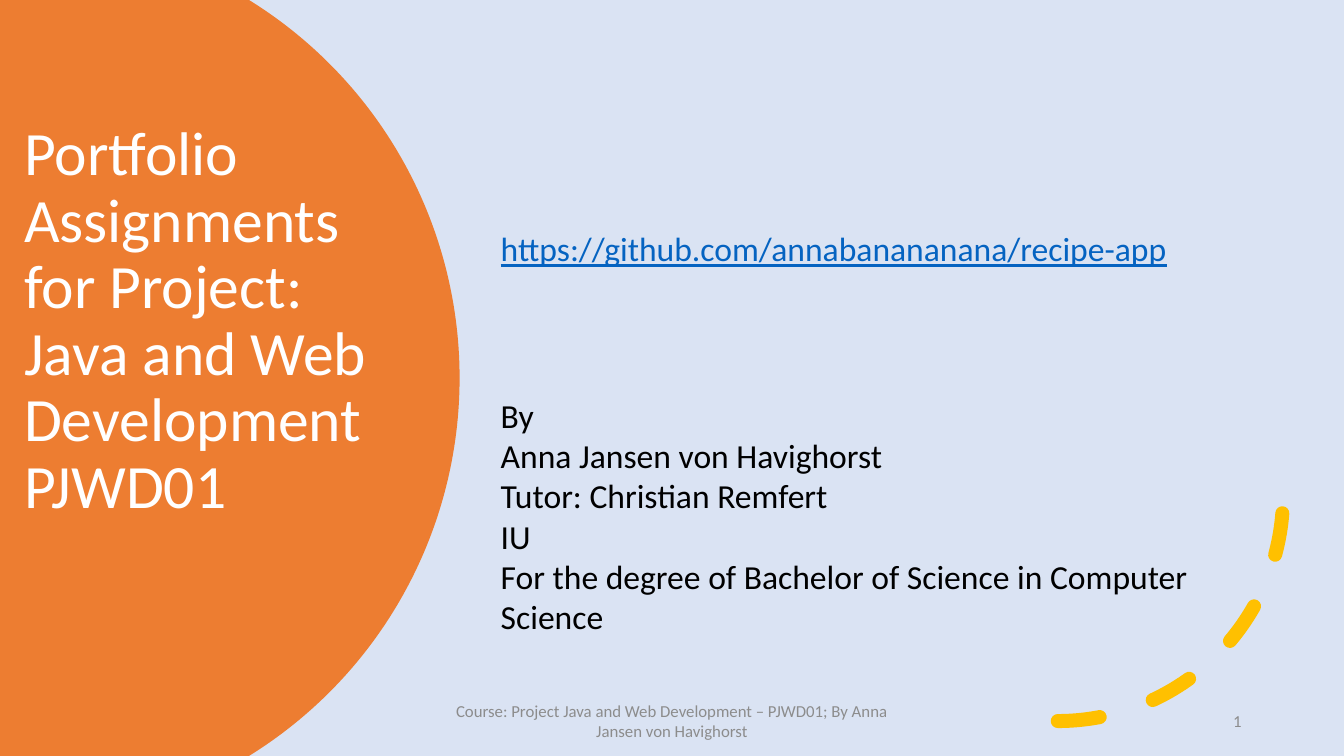
import math
import lxml.etree
import pptx
import pptx.util
import pptx.dml.color
import pptx.enum.dml
import pptx.enum.shapes
import pptx.enum.text
import pptx.oxml.ns

Pt = pptx.util.Pt
Anchor = pptx.enum.text.MSO_ANCHOR
Align = pptx.enum.text.PP_ALIGN
qn = pptx.oxml.ns.qn

COLORS = {
    "sky": "DAE3F3",
    "orange": "ED7D31",
    "gold": "FFC000",
    "white": "FFFFFF",
    "black": "000000",
    "gray": "8C8C8C",
    "link": "0563C1",
}
FONT = "Calibri"
WIDTH, HEIGHT = 960, 540

TITLE = "Portfolio Assignments for Project: Java and Web Development\vPJWD01"
ADDRESS = "https://github.com/annabanananana/recipe-app"
CREDITS = [
    "By",
    "Anna Jansen von Havighorst",
    "Tutor: Christian Remfert",
    "IU",
    "For the degree of Bachelor of Science in Computer Science",
]
FOOTER = "Course: Project Java and Web Development – PJWD01; By Anna Jansen von Havighorst"
NUMBER = "1"

DISC_CENTER, DISC_RADIUS = 10.8, 317.5
UNITS_PER_POINT = 100
ARC_BOX = (594.7, 193.3, 321.8, 321.8)


def rgb(name):
    return pptx.dml.color.RGBColor.from_string(COLORS[name])


def write(box, text, place, size, color, anchor=Anchor.MIDDLE, align=Align.LEFT,
          spacing=1.0, wrap=True, underline=None):
    box.left, box.top, box.width, box.height = map(Pt, place)
    frame = box.text_frame
    frame.word_wrap = wrap
    frame.auto_size = pptx.enum.text.MSO_AUTO_SIZE.NONE
    frame.vertical_anchor = anchor
    para = frame.paragraphs[0]
    para.text = text
    para.alignment = align
    para.line_spacing = spacing
    para.space_before = Pt(0)
    for span in para.runs:
        span.font.name = FONT
        span.font.size = Pt(size)
        span.font.color.rgb = rgb(color)
        span.font.underline = underline


def add_text(page, text, place, size, color, **options):
    box = page.shapes.add_textbox(*map(Pt, place))
    write(box, text, place, size, color, **options)


def add_disc(page):
    reach = math.asin(HEIGHT / 2 / DISC_RADIUS)
    chord = DISC_CENTER + DISC_RADIUS * math.cos(reach)
    corners = [(chord, 0), (DISC_CENTER + DISC_RADIUS, HEIGHT / 2),
               (chord, HEIGHT), (0, HEIGHT)]
    outline = page.shapes.build_freeform(0, 0, scale=Pt(1) / UNITS_PER_POINT)
    outline.add_line_segments(
        [(x * UNITS_PER_POINT, y * UNITS_PER_POINT) for x, y in corners], close=True)
    disc = outline.convert_to_shape()
    disc.shadow.inherit = False
    disc.fill.solid()
    disc.fill.fore_color.rgb = rgb("orange")
    disc.line.fill.background()

    lines = list(disc._element.iter(qn("a:lnTo")))
    radius = str(round(DISC_RADIUS * UNITS_PER_POINT))
    degrees = math.degrees(reach)
    curve = lxml.etree.Element(qn("a:arcTo"), {
        "wR": radius,
        "hR": radius,
        "stAng": str(round((360 - degrees) * 60000)),
        "swAng": str(round(2 * degrees * 60000)),
    })
    route = lines[1].getparent()
    route.replace(lines[1], curve)
    route.remove(lines[2])


def add_arc(page):
    arc = page.shapes.add_shape(pptx.enum.shapes.MSO_SHAPE.ARC, *map(Pt, ARC_BOX))
    arc.shadow.inherit = False
    arc.fill.background()
    arc.line.color.rgb = rgb("gold")
    arc.line.width = Pt(10)
    arc.line.dash_style = pptx.enum.dml.MSO_LINE.DASH
    properties = arc._element.spPr
    properties.xfrm.set("flipV", "1")
    properties.ln.set("cap", "rnd")


def main():
    deck = pptx.Presentation()
    deck.slide_width, deck.slide_height = Pt(WIDTH), Pt(HEIGHT)
    page = deck.slides.add_slide(deck.slide_layouts[5])
    page.background.fill.solid()
    page.background.fill.fore_color.rgb = rgb("sky")
    title = page.shapes.title

    add_disc(page)
    page.shapes._spTree.append(title._element)
    write(title, TITLE, (10, 82, 296, 296), 44, "white", spacing=0.9)
    add_arc(page)
    add_text(page, "\v".join(CREDITS), (350.6, 270, 507, 196.6), 24, "black")
    add_text(page, FOOTER, (318, 500.5, 324, 28.8), 12, "gray", align=Align.CENTER)
    add_text(page, NUMBER, (678, 500.5, 216, 28.8), 12, "gray", align=Align.RIGHT)
    add_text(page, ADDRESS, (350.6, 159.6, 495, 36), 24, "link",
             anchor=Anchor.TOP, wrap=False, underline=True)
    deck.save("out.pptx")


if __name__ == "__main__":
    main()
